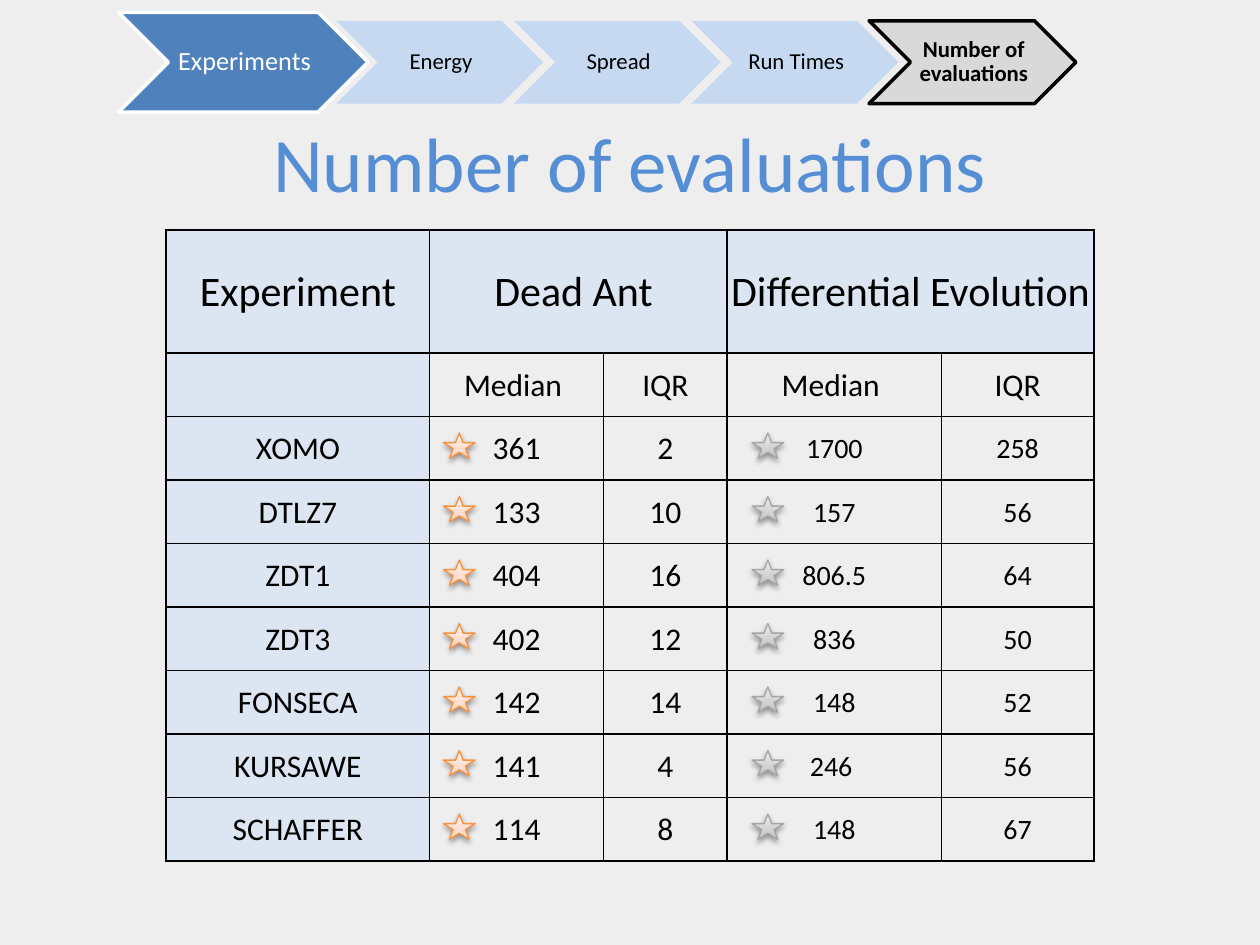
from copy import deepcopy
from dataclasses import dataclass

from lxml import etree
from pptx import Presentation
from pptx import util as u
from pptx.dml.color import RGBColor
from pptx.enum import shapes, text
from pptx.oxml import ns


@dataclass(frozen=True)
class Theme:
    font: str = "Calibri"
    page: str = "EEEEEE"
    black: str = "000000"
    white: str = "FFFFFF"
    title: str = "558ED5"
    lead: str = "4F81BD"
    step: str = "C6D9F1"
    here: str = "D9D9D9"
    head: str = "DCE6F2"
    gold: tuple = ("F69240", "FFD2BD", "FFDED0", "FFF2ED")
    grey: tuple = ("A6A6A6", "BDBDBD", "D1D1D1", "EEEEEE")
    title_size: int = 44
    head_size: int = 24
    cell_size: int = 18
    small_size: int = 16
    lead_size: int = 15
    step_size: int = 13


T = Theme()
STEPS = ["Energy", "Spread", "Run Times", "Number of evaluations"]
ROWS = [
    ["Experiment", "Dead Ant ", "", "Differential Evolution", ""],
    ["", "Median ", "IQR", "Median ", "IQR"],
    ["XOMO", "361", "2", "1700", "258"],
    ["DTLZ7", "133", "10", "157", "56"],
    ["ZDT1", "404", "16", "806.5", "64"],
    ["ZDT3", "402", "12", "836", "50"],
    ["FONSECA", "142", "14", "148", "52"],
    ["KURSAWE", "141", "4", "246 ", "56"],
    ["SCHAFFER", "114", "8", "148", "67"],
]
COLS = [5.31, 3.51, 2.49, 4.32, 3.07]
HEAD_H, ROW_H = 2.48, 1.28


def rgb(code):
    return RGBColor.from_string(code)


def cms(*nums):
    return [u.Cm(n) for n in nums]


def style(par, size, color, bold=False):
    par.alignment = text.PP_ALIGN.CENTER
    font = par.font
    font.name, font.size, font.bold = T.font, u.Pt(size), bold
    font.color.rgb = rgb(color)


def label(parent, box, words, size, color, bold=False):
    frame = parent.add_textbox(*cms(*box)).text_frame
    frame.word_wrap = True
    frame.vertical_anchor = text.MSO_ANCHOR.MIDDLE
    frame.text = words
    style(frame.paragraphs[0], size, color, bold)
    return frame


def chevron(slide, box, words, fill, size, color, line=None, bold=False):
    x, y, w, h = box
    group = slide.shapes.add_group_shape().shapes
    arrow = group.add_shape(shapes.MSO_SHAPE.CHEVRON, *cms(*box))
    arrow.shadow.inherit = False
    arrow.fill.solid()
    arrow.fill.fore_color.rgb = rgb(fill)
    if line:
        arrow.line.color.rgb = rgb(line)
        arrow.line.width = u.Pt(2)
    else:
        arrow.line.fill.background()
    frame = label(group, (x + h / 2, y, w - h, h), words, size, color, bold)
    frame.margin_left, frame.margin_top, frame.margin_right, frame.margin_bottom = cms(0.05, 0.03, 0, 0.03)
    frame.paragraphs[0].line_spacing = 0.9


def trail(slide, x, y):
    chevron(slide, (x, y, 5.03, 2.01), "Experiments", T.lead, T.lead_size, T.white, T.white)
    for i, words in enumerate(STEPS):
        here = i == len(STEPS) - 1
        chevron(slide, (x + 4.39 + 3.58 * i, y + 0.17, 4.17, 1.67), words,
                T.here if here else T.step, T.step_size, T.black,
                T.black if here else None, here)


def border(cell):
    props = cell._tc.get_or_add_tcPr()
    for i, side in enumerate(("lnL", "lnR", "lnT", "lnB")):
        edge = etree.Element(ns.qn(f"a:{side}"), w=str(u.Pt(1)))
        paint = etree.SubElement(edge, ns.qn("a:solidFill"))
        etree.SubElement(paint, ns.qn("a:srgbClr"), val=T.black)
        props.insert(i, edge)


def fill_cell(cell, words, row, col):
    if row == 0 or col == 0:
        cell.fill.solid()
        cell.fill.fore_color.rgb = rgb(T.head)
    else:
        cell.fill.background()
    border(cell)
    cell.vertical_anchor = text.MSO_ANCHOR.MIDDLE
    cell.margin_left, cell.margin_right, cell.margin_top, cell.margin_bottom = cms(0.03, 0.03, 0.03, 0)
    cell.text = words
    if row == 0:
        size = T.head_size
    else:
        size = T.small_size if row > 1 and col > 2 else T.cell_size
    style(cell.text_frame.paragraphs[0], size, T.black)


def star(slide, x, y, tones):
    edge, *stops = tones
    mark = slide.shapes.add_shape(shapes.MSO_SHAPE.STAR_5_POINT, *cms(x, y, 0.64, 0.51))
    mark.line.color.rgb = rgb(edge)
    mark.line.width = u.Pt(0.75)
    mark.fill.gradient()
    mark.fill.gradient_angle = 90
    props = mark._element.spPr
    ramp = props.find(".//" + ns.qn("a:gsLst"))
    ramp.append(deepcopy(ramp[-1]))
    for stop, tone, place in zip(mark.fill.gradient_stops, stops, (0, 0.35, 1)):
        stop.color.rgb = rgb(tone)
        stop.position = place
    mark.shadow.inherit = False
    shade = etree.SubElement(props.find(ns.qn("a:effectLst")), ns.qn("a:outerShdw"),
                             blurRad=str(u.Pt(3.1)), dist=str(u.Pt(1.6)),
                             dir="5400000", rotWithShape="0")
    tint = etree.SubElement(shade, ns.qn("a:srgbClr"), val=T.black)
    etree.SubElement(tint, ns.qn("a:alpha"), val="38000")


def results(slide, x, y):
    high = HEAD_H + ROW_H * (len(ROWS) - 1)
    grid = slide.shapes.add_table(len(ROWS), len(COLS), *cms(x, y, sum(COLS), high)).table
    grid.first_row = grid.horz_banding = False
    for col, wide in zip(grid.columns, COLS):
        col.width = u.Cm(wide)
    for i, row in enumerate(grid.rows):
        row.height = u.Cm(ROW_H if i else HEAD_H)
    for r, row in enumerate(ROWS):
        for c, words in enumerate(row):
            fill_cell(grid.cell(r, c), words, r, c)
    for c in (1, 3):
        grid.cell(0, c).merge(grid.cell(0, c + 1))
    for col, gap, tones in ((1, 0.28, T.gold), (3, 0.5, T.grey)):
        for i in range(len(ROWS) - 2):
            star(slide, x + sum(COLS[:col]) + gap, y + HEAD_H + ROW_H * (i + 1) + 0.33, tones)


def main():
    deck = Presentation()
    deck.slide_width, deck.slide_height = cms(25.4, 19.05)
    slide = deck.slides.add_slide(deck.slide_layouts[6])
    slide.background.fill.solid()
    slide.background.fill.fore_color.rgb = rgb(T.page)
    results(slide, 3.35, 4.64)
    label(slide.shapes, (1.27, 1.68, 22.86, 3.18), "Number of evaluations", T.title_size, T.title)
    trail(slide, 2.39, 0.25)
    deck.save("out.pptx")


if __name__ == "__main__":
    main()
